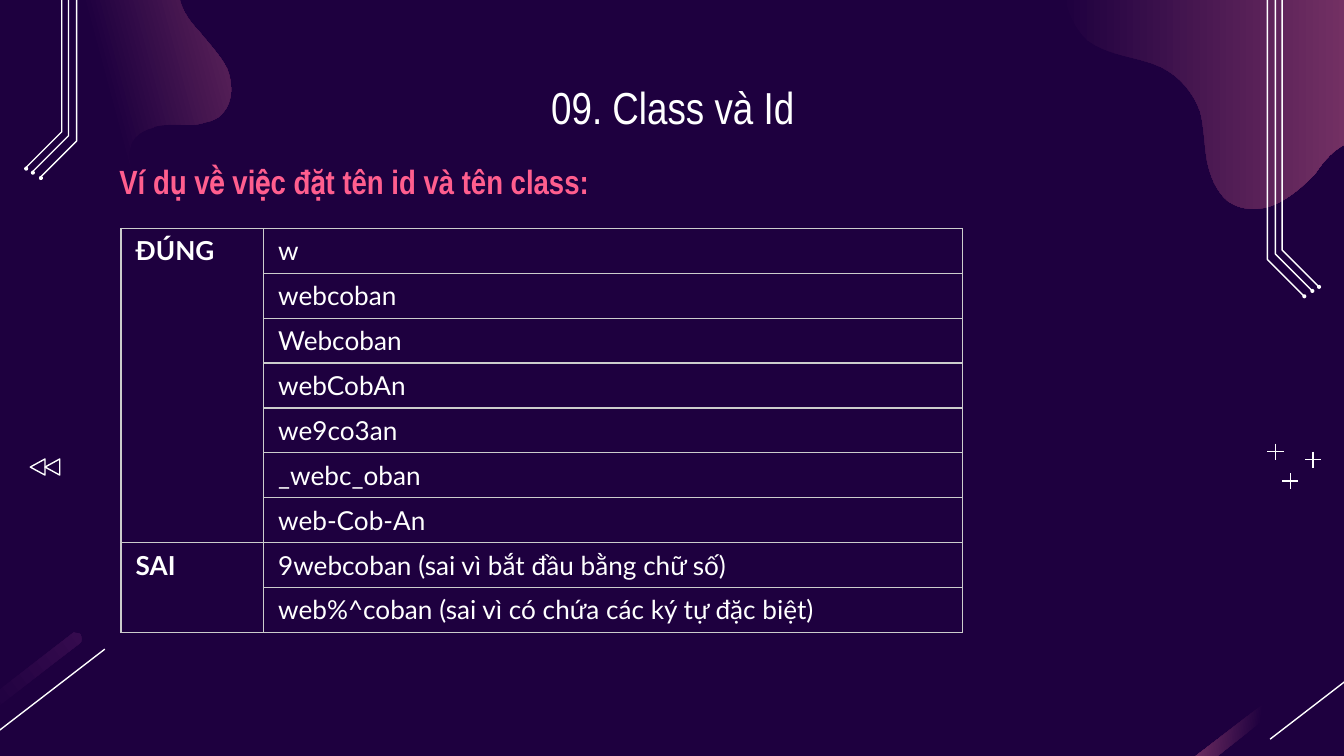
"""Build the slide that shows valid and invalid id and class names in a table."""
from lxml import etree
from pptx import Presentation
from pptx.dml.color import RGBColor
from pptx.enum.shapes import MSO_CONNECTOR as Connector, MSO_SHAPE as Preset
from pptx.enum.text import MSO_ANCHOR as Anchor, MSO_AUTO_SIZE as AutoSize, PP_ALIGN as Align
from pptx.oxml.ns import qn
from pptx.util import Pt

PX = 9144
WHITE, DARK, PLUM, PINK, GREY = "FFFFFF", "1E003F", "A64D79", "FF5E8E", "CCCCCC"
color = RGBColor.from_string

presentation = Presentation()
presentation.slide_width, presentation.slide_height = 1000 * PX, 1000 * PX * 9 // 16
slide = presentation.slides.add_slide(presentation.slide_layouts[6])
slide.background.fill.solid()
slide.background.fill.fore_color.rgb = color(DARK)
shapes = slide.shapes


def add_outline(points, close):
    points = [(round(x * PX), round(y * PX)) for x, y in points]
    builder = shapes.build_freeform(*points[0])
    builder.add_line_segments(points[1:], close=close)
    shape = builder.convert_to_shape()
    shape.shadow.inherit = False
    return shape


def add_curve(points, first_stop, angle, end_color):
    outline = [points[0]]
    for i in range(0, len(points) - 1, 3):
        a, b, c, d = points[i:i + 4]
        for t in (step / 8 for step in range(1, 9)):
            weights = (1 - t) ** 3, 3 * t * (1 - t) ** 2, 3 * t * t * (1 - t), t ** 3
            outline.append([sum(w * p[k] for w, p in zip(weights, (a, b, c, d))) for k in (0, 1)])
    shape = add_outline(outline, True)
    shape.line.fill.background()
    shape.fill.gradient()
    shape.fill.gradient_angle = angle
    for stop, position, value in zip(shape.fill.gradient_stops, (first_stop, 1), (DARK, end_color)):
        stop.position, stop.color.rgb = position, color(value)


left_blob = [
    (48, 190), (74, 183), (86, 169), (90, 165), (98, 156), (101, 143), (99, 131),
    (98, 124), (95, 117), (97, 111), (98, 102), (106, 97), (114, 95),
    (115, 94), (115, 94), (116, 94), (124, 92), (133, 93), (142, 93),
    (146, 93), (150, 92), (153, 91), (158, 90), (163, 88), (166, 84),
    (174, 75), (173, 61), (169, 51), (164, 41), (155, 32), (148, 23),
    (140, 15), (133, 4), (133, -7), (133, -16), (136, -25), (143, -31),
    (147, -35), (153, -38), (159, -39), (168, -42), (179, -42), (190, -41),
    (201, -41), (212, -40), (223, -42), (225, -43), (226, -43), (228, -43),
    (237, -46), (246, -51), (252, -58), (259, -66), (261, -78), (258, -87),
    (256, -105), (244, -125), (233, -134), (215, -150), (190, -155), (167, -151),
    (166, -150), (165, -150), (164, -150), (129, -140), (103, -110), (70, -95),
    (65, -93), (59, -91), (54, -90), (22, -81), (-13, -85), (-47, -82),
    (-62, -81), (-77, -78), (-91, -74), (-104, -71), (-116, -67), (-128, -61),
    (-145, -54), (-162, -44), (-174, -30), (-186, -17), (-195, 2), (-194, 22),
    (-193, 46), (-176, 68), (-156, 80), (-135, 93), (-112, 97), (-88, 99),
    (-74, 101), (-60, 101), (-46, 106), (-32, 110), (-19, 119), (-13, 133),
    (-8, 144), (-8, 155), (-3, 166), (6, 184), (29, 195), (48, 190)]
right_blob = [
    (1125, 38), (1125, 13), (1118, -13), (1105, -35), (1094, -54), (1078, -70), (1058, -77),
    (1036, -85), (1012, -81), (989, -84), (967, -87), (945, -97), (929, -113),
    (918, -123), (909, -135), (897, -141), (883, -148), (867, -146), (852, -143),
    (840, -140), (828, -136), (819, -129), (803, -117), (796, -97), (793, -78),
    (790, -65), (789, -51), (789, -38), (789, -31), (789, -24), (790, -18),
    (791, 0), (796, 18), (809, 30), (825, 42), (847, 42), (864, 50),
    (878, 57), (888, 69), (893, 83), (896, 94), (896, 107), (898, 119),
    (900, 130), (905, 143), (914, 150), (924, 157), (938, 157), (949, 152),
    (960, 147), (969, 139), (978, 130), (983, 123), (988, 116), (995, 111),
    (1002, 106), (1010, 103), (1018, 106), (1033, 110), (1038, 130), (1052, 138),
    (1085, 157), (1108, 112), (1117, 88), (1122, 72), (1125, 55), (1125, 38)]
streak = [
    (56, 471), (57, 471), (59, 471), (60, 472), (61, 475), (61, 478), (59, 479),
    (12, 515), (-34, 552), (-81, 588), (-84, 589), (-87, 589), (-88, 587),
    (-90, 585), (-90, 582), (-87, 580), (-40, 544), (6, 508), (53, 472),
    (54, 471), (55, 470), (56, 471)]
add_curve(left_blob, 0.56, 15, PLUM)
add_curve(right_blob, 0, 0, PLUM)

lines = []
for offset, angle, end_color in ((0, 37, "350B4E"), (954, 173, PLUM)):
    add_curve([(x + offset, y) for x, y in streak], 0.5, angle, end_color)
    lines.append((78 + offset, 483, -9 + offset, 550))
for x, y in ((960, 358), (977, 342), (949, 336)):
    lines += [(x - 6, y, x + 6, y), (x, y - 6, x, y + 6)]
for ends in lines:
    line = shapes.add_connector(Connector.STRAIGHT, *(value * PX for value in ends))
    line.line.color.rgb, line.line.width = color(WHITE), Pt(0.75)
    etree.SubElement(line._element.spPr, qn("a:effectLst"))

for start, side, rise in ((0, 1, 0), (1000, -1, 88)):
    for x, elbow in ((954, 186), (949, 189), (943, 193)):
        x, elbow = start + side * x, elbow - rise
        tip_x, tip_y = x + side * 27, elbow + 27
        trace = add_outline([(x, -119 - rise), (x, elbow), (tip_x, tip_y)], False)
        trace.fill.background()
        trace.line.color.rgb, trace.line.width = color(WHITE), Pt(0.75)
        dot = shapes.add_shape(Preset.OVAL, (tip_x - 1) * PX, (tip_y - 1) * PX, 3 * PX, 3 * PX)
        dot.shadow.inherit = False
        dot.fill.solid()
        dot.fill.fore_color.rgb = color(WHITE)
        dot.line.fill.background()

for x in (22, 33):
    arrow = shapes.add_shape(Preset.ISOSCELES_TRIANGLE, x * PX, 342 * PX, 12 * PX, 11 * PX)
    arrow.rotation = 270
    arrow.shadow.inherit = False
    arrow.fill.background()
    arrow.line.color.rgb, arrow.line.width = color(WHITE), Pt(0.75)

title = shapes.add_textbox(79 * PX, 49 * PX, 843 * PX, 63 * PX).text_frame
subtitle = shapes.add_textbox(79 * PX, 115 * PX, 660 * PX, 40 * PX).text_frame
title.vertical_anchor = Anchor.TOP
subtitle.auto_size = AutoSize.SHAPE_TO_FIT_TEXT
for frame, margin in ((title, 10), (subtitle, 5)):
    frame.word_wrap = True
    frame.margin_left = frame.margin_right = 10 * PX
    frame.margin_top = frame.margin_bottom = margin * PX
heading = {"name": "Arial Narrow", "size": Pt(24), "bold": False}
subheading = {"name": "Arial Narrow", "size": Pt(18), "bold": True}
label = {"name": "Lato", "size": Pt(14), "bold": True}
entry = {"name": "Lato", "size": Pt(14), "bold": False}
texts = [(title, "09. Class và Id", heading, WHITE),
         (subtitle, "Ví dụ về việc đặt tên id và tên class:", subheading, PINK)]

groups = {
    "ĐÚNG": ["w", "webcoban", "Webcoban", "webCobAn", "we9co3an", "_webc_oban", "web-Cob-An"],
    "SAI": ["9webcoban (sai vì bắt đầu bằng chữ số)",
            "web%^coban (sai vì có chứa các ký tự đặc biệt)"]}
row_count = sum(map(len, groups.values()))
table = shapes.add_table(row_count, 2, 90 * PX, 170 * PX, 626 * PX, row_count * 33 * PX).table
table.first_row = table.horz_banding = False
for column, width in zip(table.columns, (106, 520)):
    column.width = width * PX
for cell in table.iter_cells():
    cell.margin_left = cell.margin_right = 11 * PX
    cell.margin_top = cell.margin_bottom = 5 * PX
    properties = cell._tc.get_or_add_tcPr()
    for side in ("a:lnL", "a:lnR", "a:lnT", "a:lnB"):
        border = etree.SubElement(properties, qn(side), w=str(Pt(0.75)))
        fill = etree.SubElement(border, qn("a:solidFill"))
        etree.SubElement(fill, qn("a:srgbClr"), val=GREY)
    cell.fill.background()

row = 0
for name, examples in groups.items():
    table.cell(row, 0).merge(table.cell(row + len(examples) - 1, 0))
    texts.append((table.cell(row, 0).text_frame, name, label, WHITE))
    for example in examples:
        texts.append((table.cell(row, 1).text_frame, example, entry, WHITE))
        row += 1

for frame, text, style, text_color in texts:
    run = frame.paragraphs[0].add_run()
    run.text = text
    run.font.color.rgb = color(text_color)
    for attribute, value in style.items():
        setattr(run.font, attribute, value)
title.paragraphs[0].alignment = Align.CENTER

presentation.save("out.pptx")
